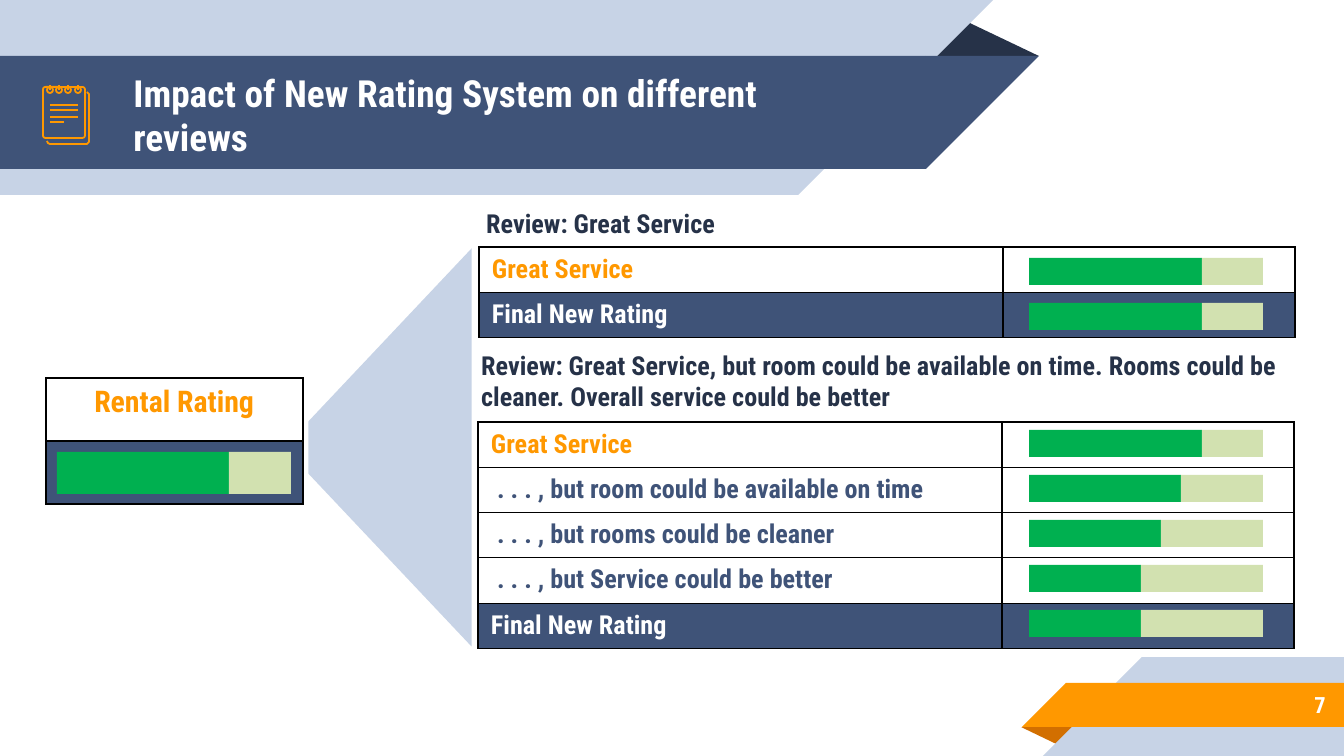
from lxml import etree
from pptx import Presentation
from pptx import util as u
from pptx.dml.color import RGBColor
from pptx.enum import shapes, text
from pptx.oxml.ns import qn

EMU_PER_PX = 914400 / 134.4
FONT = "Roboto Condensed"
COLORS = {
    "navy": "3F5378", "dark": "263248", "pale": "C7D3E6",
    "orange": "FF9800", "rust": "D26F00", "white": "FFFFFF",
    "green": "00B050", "lime": "D2E1B0", "black": "000000",
}
SHAPE = shapes.MSO_SHAPE
ALIGN = text.PP_ALIGN
ICON_LINE = u.Pt(0.96)
ROW = 45
METER_LEFT, METER_WIDTH = 1029, 234


def px(value):
    return u.Emu(round(value * EMU_PER_PX))


def rgb(name):
    return RGBColor.from_string(COLORS[name])


def add_block(slide, kind, box, color, rotation=0, adjustment=None):
    """Filled preset shape without outline."""
    shape = slide.shapes.add_shape(kind, *map(px, box))
    shape.shadow.inherit = False
    shape.fill.solid()
    shape.fill.fore_color.rgb = rgb(color)
    shape.line.fill.background()
    shape.rotation = rotation
    if adjustment is not None:
        shape.adjustments[0] = adjustment


def style_outline(shape):
    shape.shadow.inherit = False
    shape.fill.background()
    shape.line.color.rgb = rgb("orange")
    shape.line.width = ICON_LINE


def add_stroke(slide, x1, y1, x2, y2):
    line = slide.shapes.add_connector(
        shapes.MSO_CONNECTOR.STRAIGHT, px(x1), px(y1), px(x2), px(y2))
    line.line.color.rgb = rgb("orange")
    line.line.width = ICON_LINE
    etree.SubElement(line._element.spPr, qn("a:effectLst"))


def write(frame, words, size, color, align=ALIGN.LEFT):
    frame.text = words
    paragraph = frame.paragraphs[0]
    paragraph.alignment = align
    for run in paragraph.runs:
        run.font.name = FONT
        run.font.size = u.Pt(size)
        run.font.bold = True
        run.font.color.rgb = rgb(color)


def fill_box(shape, words, size, color, align=ALIGN.LEFT,
             anchor=text.MSO_ANCHOR.TOP):
    frame = shape.text_frame
    frame.word_wrap = True
    frame.auto_size = text.MSO_AUTO_SIZE.NONE
    frame.vertical_anchor = anchor
    frame.margin_left = frame.margin_right = u.Inches(0.1)
    frame.margin_top = frame.margin_bottom = u.Inches(0.1)
    write(frame, words, size, color, align)


def add_label(slide, box, *args, **options):
    fill_box(slide.shapes.add_textbox(*map(px, box)), *args, **options)


def add_borders(cell):
    properties = cell._tc.get_or_add_tcPr()
    for index, side in enumerate(("lnL", "lnR", "lnT", "lnB")):
        line = etree.Element(qn(f"a:{side}"), w=str(u.Pt(0.75)))
        fill = etree.SubElement(line, qn("a:solidFill"))
        etree.SubElement(fill, qn("a:srgbClr"), val=COLORS["black"])
        properties.insert(index, line)


def add_rating_table(slide, left, top, widths, row_height, rows, size=14,
                     align=ALIGN.LEFT):
    """Rows are (words, text colour, left margin); the last row is navy."""
    frame = slide.shapes.add_table(
        len(rows), len(widths), px(left), px(top),
        px(sum(widths)), px(row_height * len(rows)))
    table = frame.table
    table.first_row = table.horz_banding = False
    for column, width in zip(table.columns, widths):
        column.width = px(width)
    for index, (words, color, margin) in enumerate(rows):
        table.rows[index].height = px(row_height)
        for column in range(len(widths)):
            cell = table.cell(index, column)
            if index == len(rows) - 1:
                cell.fill.solid()
                cell.fill.fore_color.rgb = rgb("navy")
            else:
                cell.fill.background()
            add_borders(cell)
            if column == 0 and words:
                cell.margin_left = px(margin)
                write(cell.text_frame, words, size, color, align)
            else:
                # Keep empty cells from stretching their row
                etree.SubElement(cell.text_frame.paragraphs[0]._p,
                                 qn("a:endParaRPr"), sz=str(size * 100))


def add_meter(slide, left, top, height, score):
    add_block(slide, SHAPE.RECTANGLE, (left, top, score, height), "green")
    add_block(slide, SHAPE.RECTANGLE,
              (left + score, top, METER_WIDTH - score, height), "lime")


def add_backdrop(slide):
    # Header ribbon
    add_block(slide, SHAPE.ISOSCELES_TRIANGLE, (925, 19, 114, 37), "dark",
              adjustment=0.32)
    for top, width, height, color in ((0, 798, 195, "pale"),
                                      (56, 926, 113, "navy")):
        add_block(slide, SHAPE.RECTANGLE, (0, top, width, height), color)
        add_block(slide, SHAPE.RIGHT_TRIANGLE, (width, top, height, height),
                  color, rotation=90)
    # Footer ribbon
    add_block(slide, SHAPE.ISOSCELES_TRIANGLE, (1021, 727, 58, 19), "rust",
              rotation=180, adjustment=0.32)
    for left, top, height, color in ((1142, 657, 99, "pale"),
                                     (1066, 683, 44, "orange")):
        add_block(slide, SHAPE.RECTANGLE, (left, top, 1344 - left, height),
                  color)
        add_block(slide, SHAPE.RIGHT_TRIANGLE,
                  (left - height, top, height, height), color, rotation=270)


def add_notepad_icon(slide):
    # Back page
    points = [(47, 141), (48, 143), (50, 144), (87, 144), (89, 142),
              (89, 94), (88, 93), (87, 92)]
    builder = slide.shapes.build_freeform(*points[0], scale=EMU_PER_PX)
    builder.add_line_segments(points[1:], close=False)
    style_outline(builder.convert_to_shape())
    # Front page
    page = slide.shapes.add_shape(SHAPE.ROUNDED_RECTANGLE,
                                  *map(px, (43, 87, 42, 51)))
    page.adjustments[0] = 0.06
    style_outline(page)
    # Rings and pins
    for index in range(4):
        left = 47 + 28 * index // 3
        style_outline(slide.shapes.add_shape(
            SHAPE.OVAL, *map(px, (left, 87, 6, 6))))
        add_stroke(slide, left + 3, 85, left + 3, 90)
    # Written lines
    for y, right in ((105, 78), (110, 78), (117, 78), (122, 64)):
        add_stroke(slide, 50, y, right, y)


def main():
    presentation = Presentation()
    presentation.slide_width, presentation.slide_height = px(1344), px(756)
    slide = presentation.slides.add_slide(presentation.slide_layouts[5])
    add_backdrop(slide)

    # Title above the ribbon, and page number
    title = slide.shapes.title
    slide.shapes._spTree.append(title._element)
    title.left, title.top, title.width, title.height = map(
        px, (120, 58, 770, 113))
    fill_box(title, "Impact of New Rating System on different reviews", 20,
             "white", anchor=text.MSO_ANCHOR.MIDDLE)
    add_label(slide, (1120, 681, 219, 47), "7", 12, "white",
              align=ALIGN.RIGHT, anchor=text.MSO_ANCHOR.MIDDLE)
    add_notepad_icon(slide)

    # Overall rating fanning out to the reviews
    add_rating_table(slide, 46, 378, [257], 63,
                     [("Rental Rating", "orange", 13), ("", "white", 13)],
                     size=16, align=ALIGN.CENTER)
    add_meter(slide, 57, 452, 42, 172)
    add_block(slide, SHAPE.TRAPEZOID, (191, 366, 398, 163), "pale",
              rotation=270, adjustment=1.06)

    # Reviews with their clause ratings
    praise = ("Great Service", "orange", 13)
    final = ("Final New Rating", "white", 13)
    doubts = [(f". . . , but {words}", "navy", 19) for words in (
        "room could be available on time", "rooms could be cleaner",
        "Service could be better")]
    reviews = (
        ((473, 194, 286, 59), "Review: Great Service",
         (479, 247), [praise, final], 258, (173, 173)),
        ((468, 336, 827, 59),
         "Review: Great Service, but room could be available on time. "
         "Rooms could be cleaner. Overall service could be better",
         (478, 422), [praise, *doubts, final], 430,
         (173, 152, 132, 112, 112)),
    )
    for box, heading, corner, rows, meter_top, scores in reviews:
        add_label(slide, box, heading, 14, "dark")
        add_rating_table(slide, *corner, [524, 292], ROW, rows)
        for index, score in enumerate(scores):
            add_meter(slide, METER_LEFT, meter_top + ROW * index, 27, score)

    presentation.save("out.pptx")


if __name__ == "__main__":
    main()
